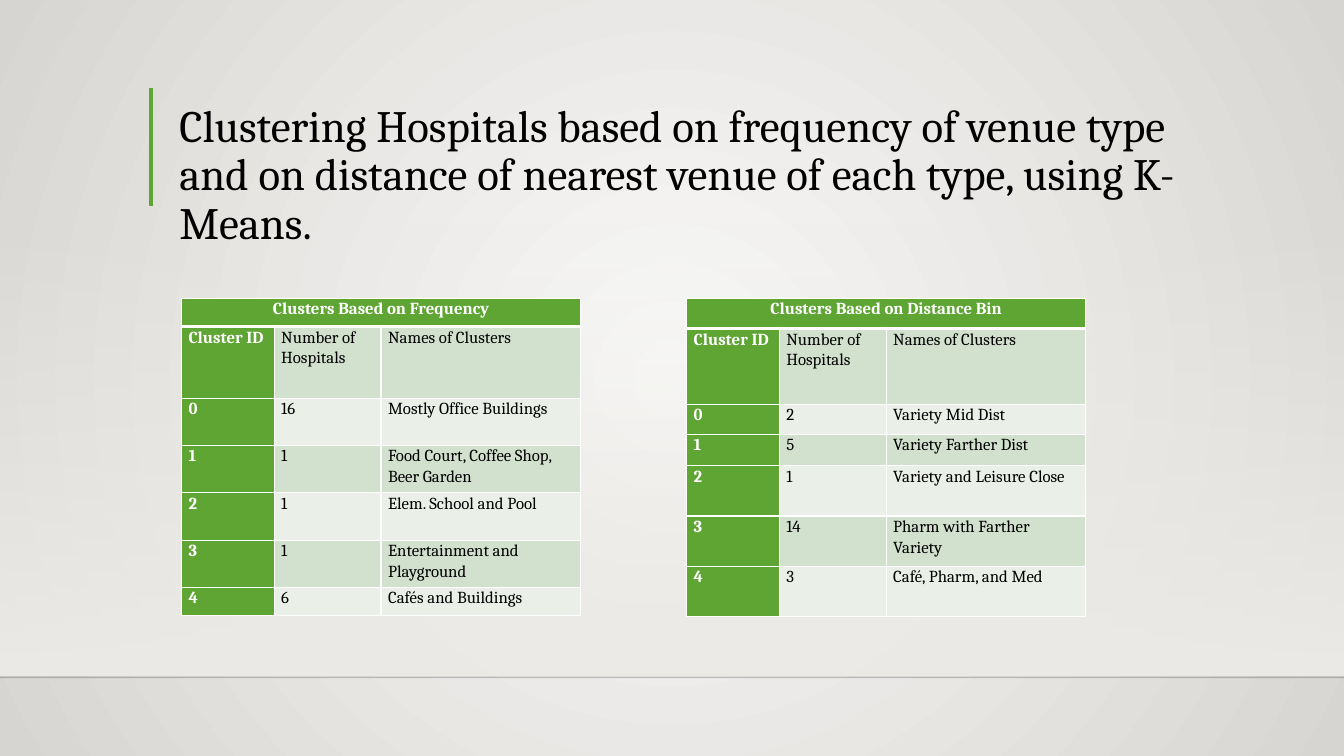
from dataclasses import dataclass

from lxml.etree import SubElement
from pptx import Presentation
from pptx.dml.color import RGBColor as RGB
from pptx.enum.shapes import MSO_CONNECTOR as Connector, MSO_SHAPE as Shape
from pptx.enum.text import MSO_ANCHOR as Anchor, PP_ALIGN as Align
from pptx.oxml.ns import qn
from pptx.util import Inches, Pt


@dataclass(frozen=True)
class Theme:
    font: str = "Cambria"
    title_size: int = 32
    table_size: int = 12
    green: str = "5FA534"
    dark_band: str = "D2E1CE"
    light_band: str = "EAF0E8"
    white: str = "FFFFFF"
    black: str = "000000"
    horizon: str = "000001"
    floor: str = "EDEBE7"
    center: str = "FAFAF9"
    edge: str = "D7D5D2"


theme = Theme()


def add_child(parent, tag, **attributes):
    return SubElement(parent, qn(tag), attributes)


def write_text(frame, text, size=theme.table_size, color=theme.black,
               bold=False, align=Align.LEFT, spacing=1.07):
    frame.word_wrap = True
    paragraph = frame.paragraphs[0]
    paragraph.alignment = align
    paragraph.line_spacing = spacing
    run = paragraph.add_run()
    run.text = text
    run.font.name = theme.font
    run.font.size = Pt(size)
    run.font.bold = bold
    run.font.color.rgb = RGB.from_string(color)


prs = Presentation()
prs.slide_width, prs.slide_height = Inches(13.33), Inches(7.5)
slide = prs.slides.add_slide(prs.slide_layouts[6])

backdrop = slide.background.fill
backdrop.gradient()
for stop, color in zip(backdrop.gradient_stops, (theme.center, theme.edge)):
    stop.color.rgb = RGB.from_string(color)
radial = slide.element.find(".//" + qn("a:gradFill"))
radial.remove(radial.find(qn("a:lin")))
circle = add_child(radial, "a:path", path="circle")
add_child(circle, "a:fillToRect", l="50000", t="50000", r="50000", b="50000")

floor = slide.shapes.add_shape(
    Shape.RECTANGLE, Inches(0), Inches(2.2), Inches(13.33), Inches(4.5))
floor.shadow.inherit = False
floor.line.fill.background()
floor.fill.gradient()
floor.fill.gradient_angle = 270
for stop in floor.fill.gradient_stops:
    stop.color.rgb = RGB.from_string(theme.floor)
add_child(floor.element.find(".//" + qn("a:srgbClr")), "a:alpha", val="0")

for x1, y1, x2, y2, color, width, opacity in (
    (0, 6.72, 13.33, 6.72, theme.horizon, 1, 20),
    (1.5, 0.87, 1.5, 2.04, theme.green, 3, 100),
):
    rule = slide.shapes.add_connector(
        Connector.STRAIGHT, Inches(x1), Inches(y1), Inches(x2), Inches(y2))
    rule.line.color.rgb = RGB.from_string(color)
    rule.line.width = Pt(width)
    add_child(rule.element.find(".//" + qn("a:srgbClr")), "a:alpha",
              val=str(opacity * 1000))
    add_child(rule.element.spPr, "a:effectLst")

title = slide.shapes.add_textbox(
    Inches(1.68), Inches(0.74), Inches(10.41), Inches(1.78)).text_frame
title.vertical_anchor = Anchor.BOTTOM
write_text(title, "Clustering Hospitals based on frequency of venue type and on "
           "distance of nearest venue of each type, using K-Means.",
           size=theme.title_size, spacing=0.9)

headings = ("Cluster ID", "Number of Hospitals", "Names of Clusters")
column_widths = (0.92, 1.06, 1.98)
frequency_clusters = (
    ("0", "16", "Mostly Office Buildings"),
    ("1", "1", "Food Court, Coffee Shop, Beer Garden"),
    ("2", "1", "Elem. School and Pool"),
    ("3", "1", "Entertainment and Playground"),
    ("4", "6", "Cafés and Buildings"),
)
distance_clusters = (
    ("0", "2", "Variety Mid Dist"),
    ("1", "5", "Variety Farther Dist"),
    ("2", "1", "Variety and Leisure Close"),
    ("3", "14", "Pharm with Farther Variety"),
    ("4", "3", "Café, Pharm, and Med"),
)

for left, caption, clusters, row_heights in (
    (1.8, "Clusters Based on Frequency", frequency_clusters,
     (0.28, 0.71, 0.47, 0.47, 0.47, 0.47, 0.28)),
    (6.81, "Clusters Based on Distance Bin", distance_clusters,
     (0.3, 0.75, 0.3, 0.31, 0.5, 0.5, 0.5)),
):
    rows = ((caption, "", ""), headings, *clusters)
    table = slide.shapes.add_table(
        len(rows), len(headings), Inches(left), Inches(2.96),
        Inches(sum(column_widths)), Inches(sum(row_heights))).table
    table.first_row = table.horz_banding = False
    for column, width in zip(table.columns, column_widths):
        column.width = Inches(width)
    for row, height in zip(table.rows, row_heights):
        row.height = Inches(height)
    table.cell(0, 0).merge(table.cell(0, 2))

    for r, values in enumerate(rows):
        for c, value in enumerate(values):
            cell = table.cell(r, c)
            cell.margin_left = cell.margin_right = Inches(0.07)
            cell.margin_top = cell.margin_bottom = 0
            green = r == 0 or c == 0
            write_text(cell.text_frame, value, bold=green,
                       color=theme.white if green else theme.black,
                       align=Align.CENTER if r == 0 else Align.LEFT)
            borders = cell._tc.get_or_add_tcPr()
            for side in "LRTB":
                thick = (r, side) in ((0, "B"), (1, "T"))
                border = add_child(borders, f"a:ln{side}",
                                   w=str(Pt(3 if thick else 1)))
                paint = add_child(border, "a:solidFill")
                add_child(paint, "a:srgbClr", val=theme.white)
            band = theme.dark_band if r % 2 else theme.light_band
            cell.fill.solid()
            cell.fill.fore_color.rgb = RGB.from_string(
                theme.green if green else band)

prs.save("out.pptx")
